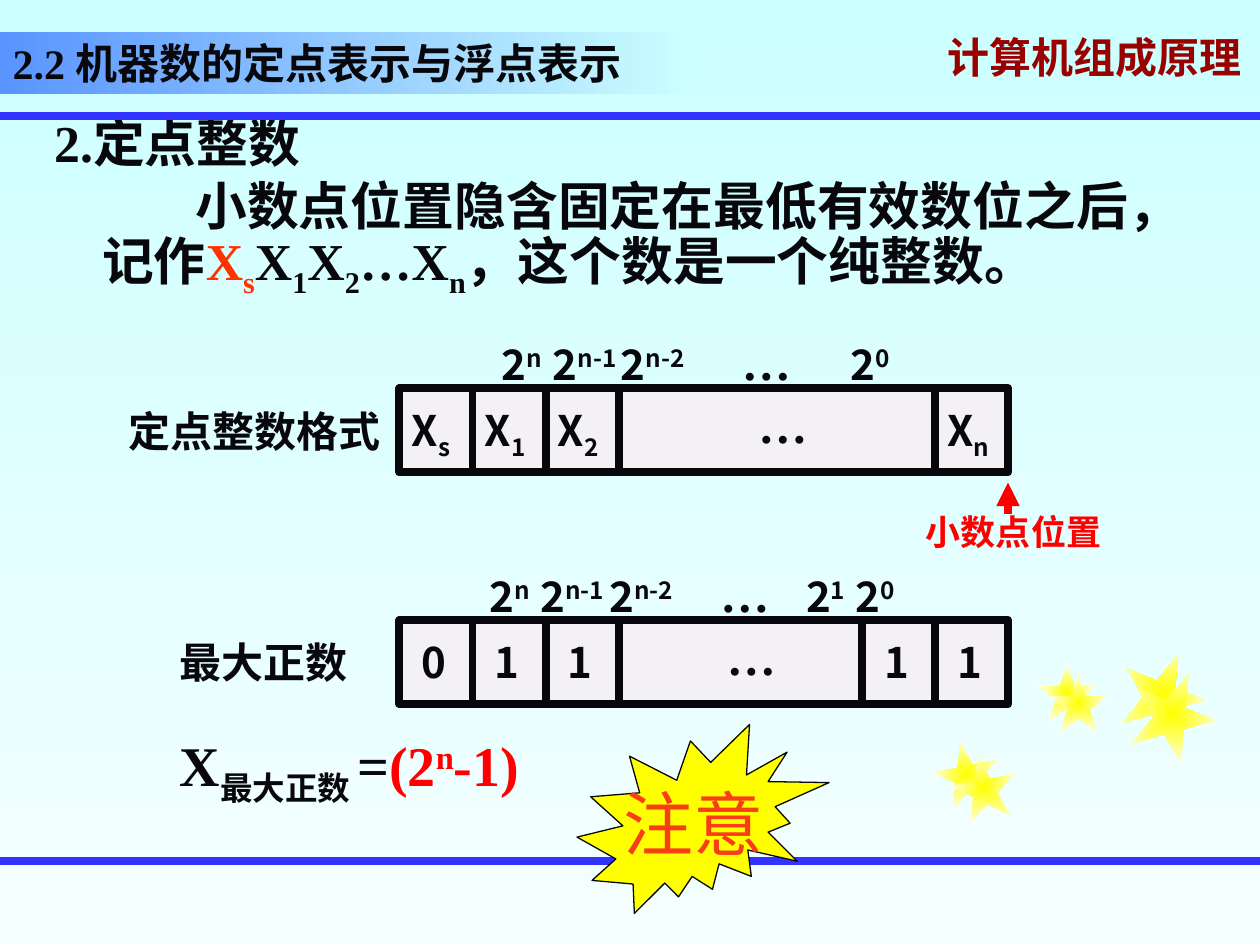
from pptx import Presentation
from pptx.dml.color import RGBColor
from pptx.enum.shapes import MSO_CONNECTOR as Connector, MSO_SHAPE as Shape
from pptx.enum.text import MSO_ANCHOR as Anchor, PP_ALIGN as Align
from pptx.oxml import parse_xml
from pptx.oxml.ns import nsdecls, qn
from pptx.util import Inches, Pt

COLORS = {
    "ink": "08080C", "rule": "3333FF", "header": "990000", "red": "FF0000",
    "sign": "FF3300", "notice": "F93D17", "cell": "F4F1F5", "yellow": "FFFF00",
    "pale": "FFFFE9", "sky": "CCFFFF", "mist": "F5FFFF", "band": "5994FF",
}
SANS, SERIF = "Noto Sans CJK SC", "Times New Roman"
SUB, SUP = -25, 30
CELL = 0.58
RULE_WIDTH = 4.5


def color(name):
    return RGBColor.from_string(COLORS[name])


def element(tag, attributes="", inner=""):
    return parse_xml(f"<a:{tag} {nsdecls('a')} {attributes}>{inner}</a:{tag}>")


def write(para, spans, size, font=SERIF, ink="ink", bold=True):
    """Each span is (text, baseline, colour, size, font); all but the text may be left out."""
    for span in spans:
        text, base, tint, points, face = (*span, *(None,) * (5 - len(span)))
        run = para.add_run()
        run.text = text
        run.font.size = Pt(points or size)
        run.font.bold = bold
        run.font.color.rgb = color(tint or ink)
        run.font.name = face or font
        properties = run._r.get_or_add_rPr()
        properties.find(qn("a:latin")).addnext(element("ea", f'typeface="{SANS}"'))
        if base:
            properties.set("baseline", str(base * 1000))


def add_text(page, box, spans, size, font=SERIF, ink="ink", anchor=Anchor.TOP, tabs=()):
    frame = page.shapes.add_textbox(*map(Inches, box)).text_frame
    frame.word_wrap = True
    frame.vertical_anchor = anchor
    para = frame.paragraphs[0]
    if tabs:
        stops = "".join(f'<a:tab pos="{Inches(tab)}" algn="l"/>' for tab in tabs)
        para._p.get_or_add_pPr().append(element("tabLst", inner=stops))
    write(para, spans, size, font, ink)
    return para


def add_line(page, start, end, ink, arrow=False):
    line = page.shapes.add_connector(Connector.STRAIGHT, *map(Inches, (*start, *end)))
    line.line.color.rgb = color(ink)
    line.line.width = Pt(RULE_WIDTH)
    line._element.spPr.append(element("effectLst"))
    if arrow:
        line.line._get_or_add_ln().append(element("tailEnd", 'type="triangle"'))


def add_shape(page, kind, box, fill=None, outline=None, width=RULE_WIDTH):
    shape = page.shapes.add_shape(kind, *map(Inches, box))
    shape.shadow.inherit = False
    if fill:
        shape.fill.solid()
        shape.fill.fore_color.rgb = color(fill)
    if outline:
        shape.line.color.rgb = color(outline)
        shape.line.width = Pt(width)
    else:
        shape.line.fill.background()
    return shape


def fill_gradient(fill, first, last, angle=0):
    fill.gradient()
    fill.gradient_angle = angle
    for stop, name in zip(fill.gradient_stops, (first, last)):
        stop.color.rgb = color(name)


def move(shape, box):
    shape.left, shape.top, shape.width, shape.height = map(Inches, box)


def add_frame(page):
    """Background, course name and the two rules."""
    fill_gradient(page.background.fill, "sky", "mist", 270)
    para = add_text(page, (7.42, 0.25, 2.58, 0.5), [("计算机组成原理",)], 24, SANS, "header",
                    Anchor.MIDDLE)
    para.line_spacing = 0.7
    shadow = element("effectLst", inner='<a:outerShdw dist="25400" dir="2700000">'
                     '<a:srgbClr val="808080"/></a:outerShdw>')
    para.runs[0]._r.rPr.find(qn("a:latin")).addprevious(shadow)
    for y in (0.92, 6.83):
        add_line(page, (0, y), (10, y), "rule")


def add_stars(page):
    """Three pairs of overlapping stars: left, top, size, turn, shift of the second star."""
    for left, top, size, turn, dx, dy in (
        (7.42, 5.89, 0.5, 349, 0.14, 0.11),
        (8.24, 5.27, 0.46, 0, 0.09, 0.08),
        (8.89, 5.17, 0.67, 22, 0.08, 0.16),
    ):
        for step in (0, 1):
            box = (left + step * dx, top + step * dy, size, size)
            star = add_shape(page, Shape.STAR_5_POINT, box)
            star.rotation = turn
            fill_gradient(star.fill, "yellow", "pale")
            linear = star._element.spPr.find(qn("a:gradFill")).find(qn("a:lin"))
            center = '<a:fillToRect l="50000" t="50000" r="50000" b="50000"/>'
            linear.addprevious(element("path", 'path="rect"', center))
            linear.getparent().remove(linear)


def fill_title(title, box):
    move(title, box)
    fill_gradient(title.fill, "band", "sky")
    title.text_frame.vertical_anchor = Anchor.BOTTOM
    para = title.text_frame.paragraphs[0]
    para.alignment = Align.LEFT
    write(para, [("2.2 机器",), ("数的定点表示与浮点表示", None, None, None, SANS)], 24)


def fill_body(body, box):
    move(body, box)
    definition = [
        ("小数点位置隐含固定在最低有效数位之后，记作",), ("X", None, "sign"), ("s", SUB, "sign"),
        ("X",), ("1", SUB), ("X",), ("2", SUB), ("…X",), ("n", SUB), ("，这个数是一个纯整数。",),
    ]
    frame = body.text_frame
    for para, spans, indent, before in (
        (frame.paragraphs[0], [("2.定点整数",)], -0.38, 0),
        (frame.add_paragraph(), definition, 0.74, 8),
    ):
        properties = para._p.get_or_add_pPr()
        properties.set("marL", str(Inches(0.38)))
        properties.set("indent", str(Inches(indent)))
        properties.append(element("buNone"))
        para.line_spacing = 0.8
        para.space_before = Pt(before)
        write(para, spans, 29.6)


def add_register(page, box, head, tail, inset, dots_x):
    """A row of bit cells: head cells from the left, tail cells from the right."""
    left, top, width, height = box
    right = left + width
    add_shape(page, Shape.RECTANGLE, box, "cell", "ink")
    head_lefts = [left + i * CELL for i in range(len(head))]
    tail_lefts = [right - (len(tail) - i) * CELL for i in range(len(tail))]
    for x in (*head_lefts[1:], left + len(head) * CELL, *tail_lefts):
        add_line(page, (x, top), (x, top + height), "ink")
    for x, spans in zip(head_lefts + tail_lefts, head + tail):
        add_text(page, (x + inset, top + 0.08, 0.8, 0.5), spans, 24, SANS)
    add_text(page, (dots_x, top, 1.08, 0.57), [("…",)], 28)


def add_weights(page, box, exponents, tabs):
    """Powers of two above a register; None stands for the gap."""
    spans = []
    for i, exponent in enumerate(exponents):
        tab = "\t" if i else ""
        if exponent is None:
            spans.append((tab + "…", None, None, 28, SERIF))
        else:
            spans += [(tab + "2",), (exponent, SUP)]
    add_text(page, box, spans, 24, SANS, anchor=Anchor.MIDDLE, tabs=tabs)


def add_format(page, box):
    left, top, width, height = box
    names = [[("X",), (index, SUB)] for index in "s12n"]
    add_text(page, (0.92, top + 0.09, 2.25, 0.5), [("定点整数格式",)], 24, SANS)
    add_register(page, box, names[:3], names[3:], 0, 5.92)
    add_weights(page, (3.88, top - 0.5, 3.6, 0.57), ["n", "n-1", "n-2", None, "0"],
                (0.41, 0.95, 1.91, 2.77))
    # Position of the point
    add_text(page, (7.25, top + 0.92, 2.08, 0.44), [("小数点位置",)], 20, ink="red")
    add_line(page, (left + width, top + 1), (left + width, top + 0.75), "red", arrow=True)


def add_maximum(page, box):
    top = box[1]
    add_text(page, (1.33, top + 0.08, 2.08, 0.5), [("最大正数",)], 24)
    add_register(page, box, [[(bit,)] for bit in "011"], [[(bit,)] for bit in "11"], 0.08, 5.67)
    add_weights(page, (3.79, top - 0.5, 3.6, 0.57), ["n", "n-1", "n-2", None, "1", "0"],
                (0.4, 0.95, 1.83, 2.51, 2.9))
    # Value of the largest positive number
    add_text(page, (1.33, top + 0.83, 7.08, 0.71),
             [("X",), ("最大正数 ", SUB), ("=",), ("(2", None, "red"), ("n", SUP, "red"),
              ("-1)", None, "red")], 32)


def add_notice(page, box):
    seal = add_shape(page, Shape.EXPLOSION2, box, "yellow", "ink", 0.75)
    frame = seal.text_frame
    frame.word_wrap = False
    frame.vertical_anchor = Anchor.MIDDLE
    frame.paragraphs[0].alignment = Align.CENTER
    write(frame.paragraphs[0], [("注意",)], 40, ink="notice", bold=False)


def main():
    deck = Presentation()
    deck.slide_width, deck.slide_height = Inches(10), Inches(7.5)
    page = deck.slides.add_slide(deck.slide_layouts[1])
    add_frame(page)
    add_stars(page)
    fill_title(page.shapes.title, (0, 0.25, 5.5, 0.5))
    fill_body(page.placeholders[1], (0.33, 0.92, 9.17, 1.67))
    add_format(page, (3.17, 3.08, 4.83, 0.67))
    add_maximum(page, (3.17, 4.92, 4.83, 0.67))
    add_notice(page, (4.58, 5.75, 2, 1.5))
    deck.save("out.pptx")


if __name__ == "__main__":
    main()
